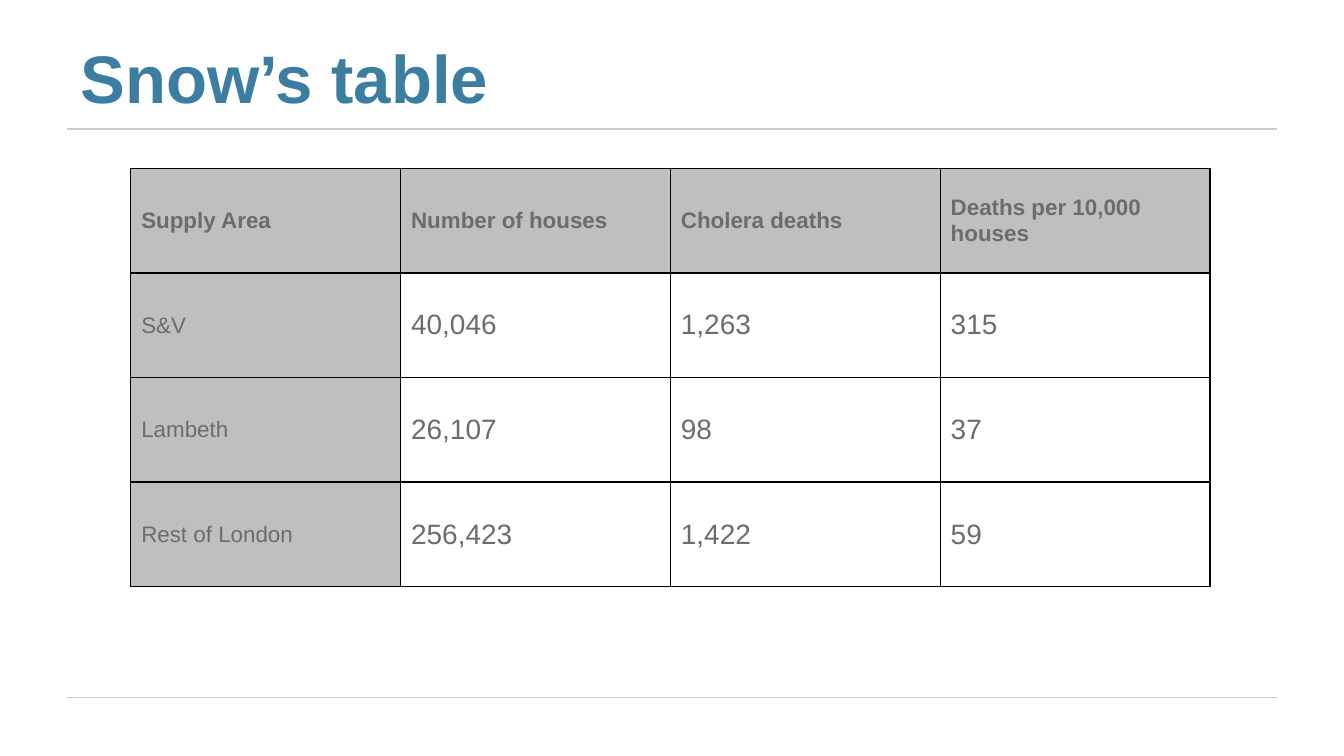
from dataclasses import dataclass

from lxml import etree
from pptx import Presentation
from pptx.dml.color import RGBColor
from pptx.enum.shapes import MSO_CONNECTOR
from pptx.enum.text import MSO_ANCHOR, MSO_AUTO_SIZE, PP_ALIGN
from pptx.oxml.ns import qn
from pptx.util import Cm, Pt

STRAIGHT = MSO_CONNECTOR.STRAIGHT
MIDDLE, BOTTOM = MSO_ANCHOR.MIDDLE, MSO_ANCHOR.BOTTOM
NO_AUTOFIT = MSO_AUTO_SIZE.NONE
LEFT = PP_ALIGN.LEFT
TITLE_ONLY = 5


@dataclass(frozen=True)
class Theme:
    font: str = "Arial"
    title: str = "3B7EA1"
    text: str = "6C6C6C"
    rule: str = "CCCCCC"
    border: str = "000000"
    shade: str = "000000"
    shade_alpha: int = 25
    title_size: int = 36
    label_size: int = 12
    value_size: int = 15
    line_width: float = 0.75


THEME = Theme()

ROWS = [
    ["Supply Area", "Number of houses", "Cholera deaths", "Deaths per 10,000 houses"],
    ["S&V", "40,046", "1,263", "315"],
    ["Lambeth", "26,107", "98", "37"],
    ["Rest of London", "256,423", "1,422", "59"],
]


def apply(target, formats):
    for name, value in formats.items():
        setattr(target, name, value)


def write(para, text, size, color, bold):
    para.alignment = LEFT
    span = para.add_run()
    span.text = text
    apply(span.font, {"name": THEME.font, "size": Pt(size), "bold": bold})
    span.font.color.rgb = RGBColor.from_string(color)


def add_rule(page, left, top, width):
    rule = page.shapes.add_connector(STRAIGHT, left, top, left + width, top)
    rule.line.color.rgb = RGBColor.from_string(THEME.rule)
    rule.line.width = Pt(THEME.line_width)
    etree.SubElement(rule._element.spPr, qn("a:effectLst"))


def add_title(page, text, left, top, width, height):
    title = page.shapes.title
    apply(title, {"left": left, "top": top, "width": width, "height": height})
    margin = Cm(0.25)
    apply(title.text_frame, {
        "word_wrap": True, "auto_size": NO_AUTOFIT, "vertical_anchor": BOTTOM,
        "margin_left": margin, "margin_right": margin,
        "margin_top": margin, "margin_bottom": margin,
    })
    write(title.text_frame.paragraphs[0], text, THEME.title_size, THEME.title, True)


def add_borders(cell):
    properties = cell._tc.get_or_add_tcPr()
    for side in ("lnL", "lnR", "lnT", "lnB"):
        line = etree.SubElement(properties, qn(f"a:{side}"), w=str(Pt(THEME.line_width)))
        fill = etree.SubElement(line, qn("a:solidFill"))
        etree.SubElement(fill, qn("a:srgbClr"), val=THEME.border)


def shade(cell):
    cell.fill.solid()
    cell.fill.fore_color.rgb = RGBColor.from_string(THEME.shade)
    color = cell._tc.tcPr.find(f"{qn('a:solidFill')}/{qn('a:srgbClr')}")
    etree.SubElement(color, qn("a:alpha"), val=str(THEME.shade_alpha * 1000))


def add_data_table(page, rows, left, top, width, height):
    frame = page.shapes.add_table(len(rows), len(rows[0]), left, top, width, height)
    table = frame.table
    apply(table, {"first_row": False, "horz_banding": False})
    for r, row in enumerate(rows):
        for c, text in enumerate(row):
            cell = table.cell(r, c)
            apply(cell, {
                "vertical_anchor": MIDDLE,
                "margin_left": Cm(0.1), "margin_right": Cm(0.1),
                "margin_top": Cm(0.08), "margin_bottom": Cm(0.08),
            })
            add_borders(cell)
            # Header row and first column are shaded labels
            is_label = r == 0 or c == 0
            if is_label:
                shade(cell)
            else:
                cell.fill.background()
            para = cell.text_frame.paragraphs[0]
            para._p.get_or_add_pPr().set("marL", str(Cm(0.1)))
            size = THEME.label_size if is_label else THEME.value_size
            write(para, text, size, THEME.text, r == 0)


def main():
    deck = Presentation()
    deck.slide_width, deck.slide_height = Cm(25.4), Cm(14.28)
    page = deck.slides.add_slide(deck.slide_layouts[TITLE_ONLY])

    # Rules under the title and above the footer
    for top in (2.44, 13.18):
        add_rule(page, Cm(1.27), Cm(top), Cm(22.86))
    add_data_table(page, ROWS, Cm(2.47), Cm(3.18), Cm(20.4), Cm(7.9))
    add_title(page, "Snow’s table", Cm(1.27), Cm(0.58), Cm(18.62), Cm(1.88))

    deck.save("out.pptx")


if __name__ == "__main__":
    main()
